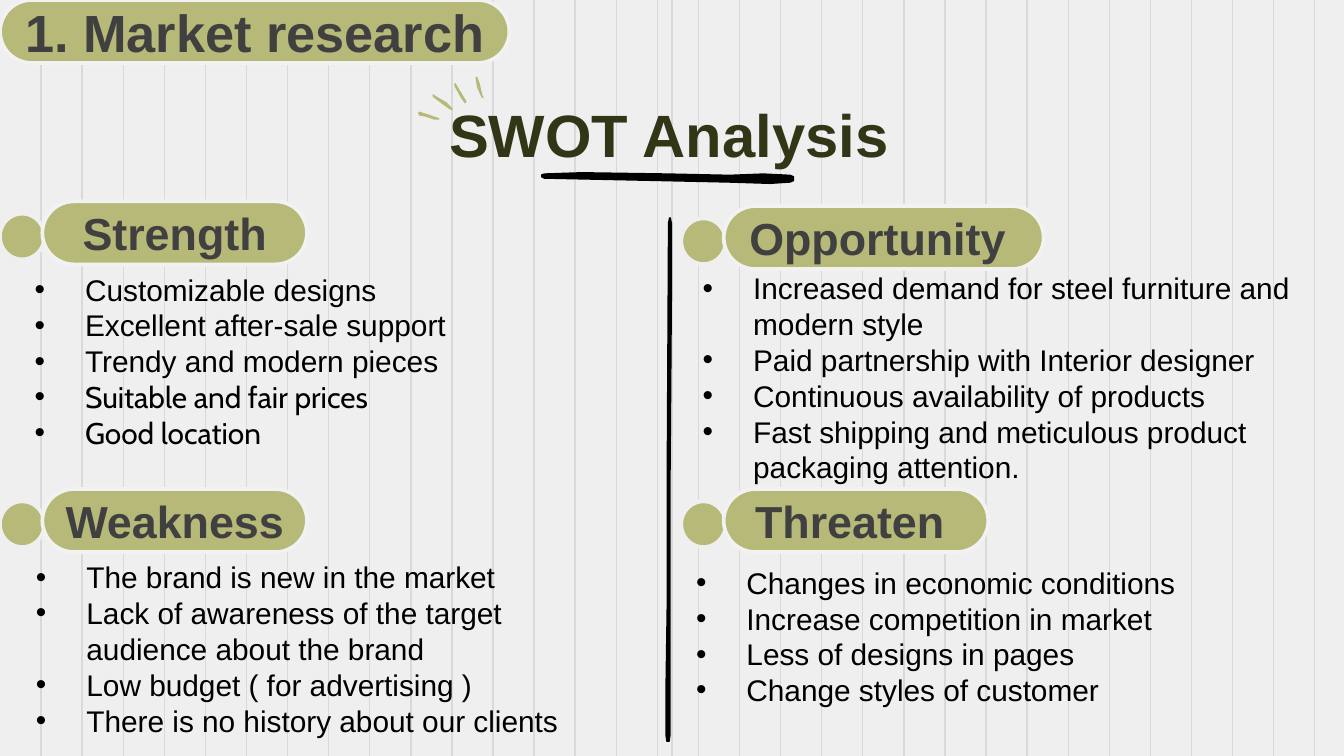
import pptx
import pptx.dml.color
import pptx.enum.shapes
import pptx.enum.text
import pptx.oxml
import pptx.oxml.ns
import pptx.util

Pt = pptx.util.Pt
MSO_SHAPE = pptx.enum.shapes.MSO_SHAPE
MSO_ANCHOR = pptx.enum.text.MSO_ANCHOR
PP_ALIGN = pptx.enum.text.PP_ALIGN

COLORS = {
    "background": "EFEFEF", "stripe": "D9D9D9", "olive": "B6B978", "pill_edge": "F2F2F2",
    "heading": "404040", "title": "333517", "ink": "000000",
}
WIDTH, HEIGHT = 720, 405
STRIPE_COUNT, STRIPE_GAP = 32, 22.01
PILL_HEIGHT, INDENT = 33.8, 27

SECTION = "1. Market research "
TITLE = "SWOT Analysis "

# Each item is its text, with a font where it differs from Arial.
QUADRANTS = [
    {"heading": "Strength", "dot": (0, 114.5), "pill_width": 141.8,
     "box": (11.5, 141.8, 290.9, 104.4),
     "items": [("Customizable designs",), ("Excellent after-sale support",),
               ("Trendy and modern pieces",), ("Suitable and fair prices", "Cabin"),
               ("Good location", "Cabin")]},
    {"heading": "Weakness ", "dot": (0, 268.6), "pill_width": 141.8,
     "box": (12.2, 295.9, 320.4, 104.4),
     "items": [("The brand is new in the market",),
               ("Lack of awareness of the target audience about the brand",),
               ("Low budget ( for advertising )",),
               ("There is no history about our clients",)]},
    {"heading": "Opportunity ", "dot": (365, 117), "pill_width": 171.4,
     "box": (369.4, 141.1, 336.2, 126),
     "items": [("Increased demand for steel furniture and modern style",),
               ("Paid partnership with Interior designer",),
               ("Continuous availability of products",),
               ("Fast shipping and meticulous product packaging attention.",)]},
    {"heading": "Threaten ", "dot": (365, 268.6), "pill_width": 141.8,
     "box": (365.8, 298.8, 362.2, 85),
     "items": [("Changes in economic conditions",), ("Increase competition in market",),
               ("Less of designs in pages",), ("Change styles of customer",)]},
]

SPARKS = [
    [(242.6, 58.3), (239, 54.7), (234, 51.8), (231.8, 50.4), (231.8, 51.8),
     (237.6, 56.2), (240.5, 58.3), (242, 59)],
    [(259.2, 52.6), (258.5, 51.1), (257, 44.6), (255.6, 41), (254.9, 41.4),
     (254.9, 42.5), (255.6, 46.8), (257.8, 51.8), (258.5, 52.6)],
    [(235.4, 64.1), (235.4, 63.4), (231.1, 61.9), (226.8, 60.5), (224.6, 59.8),
     (223.9, 60.5), (224.6, 61.9), (228.2, 62.6), (232.6, 64.1)],
    [(249.8, 54.7), (249.8, 54), (248.4, 51.8), (244.1, 44.6), (243.4, 44.6),
     (243.4, 46.1), (247, 52.6), (249.1, 55.4)],
]
UNDERLINE = [(311.8, 92.2), (291.6, 92.9), (289.9, 93.5), (289.9, 95), (291.6, 95.8),
             (357.8, 97.2), (390.2, 97.9), (412.6, 98.6), (423.4, 97.9), (425.5, 97),
             (425.5, 94.5), (423.4, 93.6), (409, 92.9), (391, 93.6), (357.8, 92.9)]
DIVIDER = [(360, 161.3), (360, 119.5), (359.4, 116.5), (358.4, 116.5), (357.8, 119.5),
           (357.1, 257), (357.1, 324.7), (356.4, 371.5), (356.4, 393.8), (357, 397.5),
           (358.7, 397.5), (359.3, 393.8), (359.3, 326), (359.3, 257)]


def rgb(name):
    return pptx.dml.color.RGBColor.from_string(COLORS[name])


def write(paragraph, text, size=16, font="Arial", color="ink", bold=False,
          align=None, bullet=False):
    if bullet:
        properties = paragraph._p.get_or_add_pPr()
        properties.set("marL", str(Pt(INDENT)))
        properties.set("indent", str(-Pt(INDENT)))
        namespace = pptx.oxml.ns.nsdecls("a")
        for xml in (f'<a:buClr {namespace}><a:srgbClr val="{COLORS[color]}"/></a:buClr>',
                    f'<a:buFont {namespace} typeface="Arial"/>',
                    f'<a:buChar {namespace} char="•"/>'):
            properties.append(pptx.oxml.parse_xml(xml))
    paragraph.alignment = align
    run = paragraph.add_run()
    run.text = text
    run.font.size, run.font.name, run.font.bold = Pt(size), font, bold
    run.font.color.rgb = rgb(color)


def paint(shape, fill, edge=None):
    shape.shadow.inherit = False
    shape.fill.solid()
    shape.fill.fore_color.rgb = rgb(fill)
    if edge:
        shape.line.color.rgb = rgb(edge)
        shape.line.width = Pt(2)
    else:
        shape.line.fill.background()


def add_stripe(shapes, x):
    stripe = shapes.add_connector(pptx.enum.shapes.MSO_CONNECTOR.STRAIGHT,
                                  Pt(x), 0, Pt(x), Pt(HEIGHT))
    stripe.line.color.rgb = rgb("stripe")
    stripe.line.width = Pt(0.75)
    stripe._element.spPr.append(
        pptx.oxml.parse_xml(f'<a:effectLst {pptx.oxml.ns.nsdecls("a")}/>'))


def add_stroke(shapes, outline, color):
    start, *rest = [(Pt(x), Pt(y)) for x, y in outline]
    builder = shapes.build_freeform(*start, scale=1.0)
    builder.add_line_segments(rest, close=True)
    paint(builder.convert_to_shape(), color)


def add_pill(shapes, text, left, top, width, size):
    pill = shapes.add_shape(MSO_SHAPE.ROUNDED_RECTANGLE,
                            Pt(left), Pt(top), Pt(width), Pt(PILL_HEIGHT))
    pill.adjustments[0] = 0.5
    paint(pill, "olive", "pill_edge")
    pill.text_frame.word_wrap = True
    pill.text_frame.vertical_anchor = MSO_ANCHOR.MIDDLE
    write(pill.text_frame.paragraphs[0], text, size=size, color="heading", bold=True,
          align=PP_ALIGN.CENTER)


def add_text_frame(shapes, box):
    frame = shapes.add_textbox(*map(Pt, box)).text_frame
    frame.word_wrap = True
    return frame


def add_quadrant(shapes, quadrant):
    left, top = quadrant["dot"]
    heading = shapes.add_group_shape().shapes
    dot = heading.add_shape(MSO_SHAPE.OVAL, Pt(left), Pt(top), Pt(23.8), Pt(24.5))
    paint(dot, "olive", "background")
    add_pill(heading, quadrant["heading"], left + 22.7, top - 6.6,
             quadrant["pill_width"], size=24)

    frame = add_text_frame(shapes, quadrant["box"])
    for index, (text, *font) in enumerate(quadrant["items"]):
        paragraph = frame.add_paragraph() if index else frame.paragraphs[0]
        write(paragraph, text, font=font[0] if font else "Arial", bullet=True)


def main():
    deck = pptx.Presentation()
    deck.slide_width, deck.slide_height = Pt(WIDTH), Pt(HEIGHT)
    slide = deck.slides.add_slide(deck.slide_layouts[6])
    slide.background.fill.solid()
    slide.background.fill.fore_color.rgb = rgb("background")
    shapes = slide.shapes

    for number in range(1, STRIPE_COUNT + 1):
        add_stripe(shapes, number * STRIPE_GAP)
    add_stripe(shapes, WIDTH / 2)

    add_pill(shapes, SECTION, 0, 0, 272.9, size=28)
    title = add_text_frame(shapes, (226.1, 49, 273.6, 46.1))
    write(title.paragraphs[0], TITLE, size=32, color="title", bold=True,
          align=PP_ALIGN.CENTER)

    sparks = shapes.add_group_shape().shapes
    for spark in SPARKS:
        add_stroke(sparks, spark, "olive")
    add_stroke(shapes, UNDERLINE, "ink")
    add_stroke(shapes, DIVIDER, "ink")

    for quadrant in QUADRANTS:
        add_quadrant(shapes, quadrant)
    deck.save("out.pptx")


if __name__ == "__main__":
    main()
